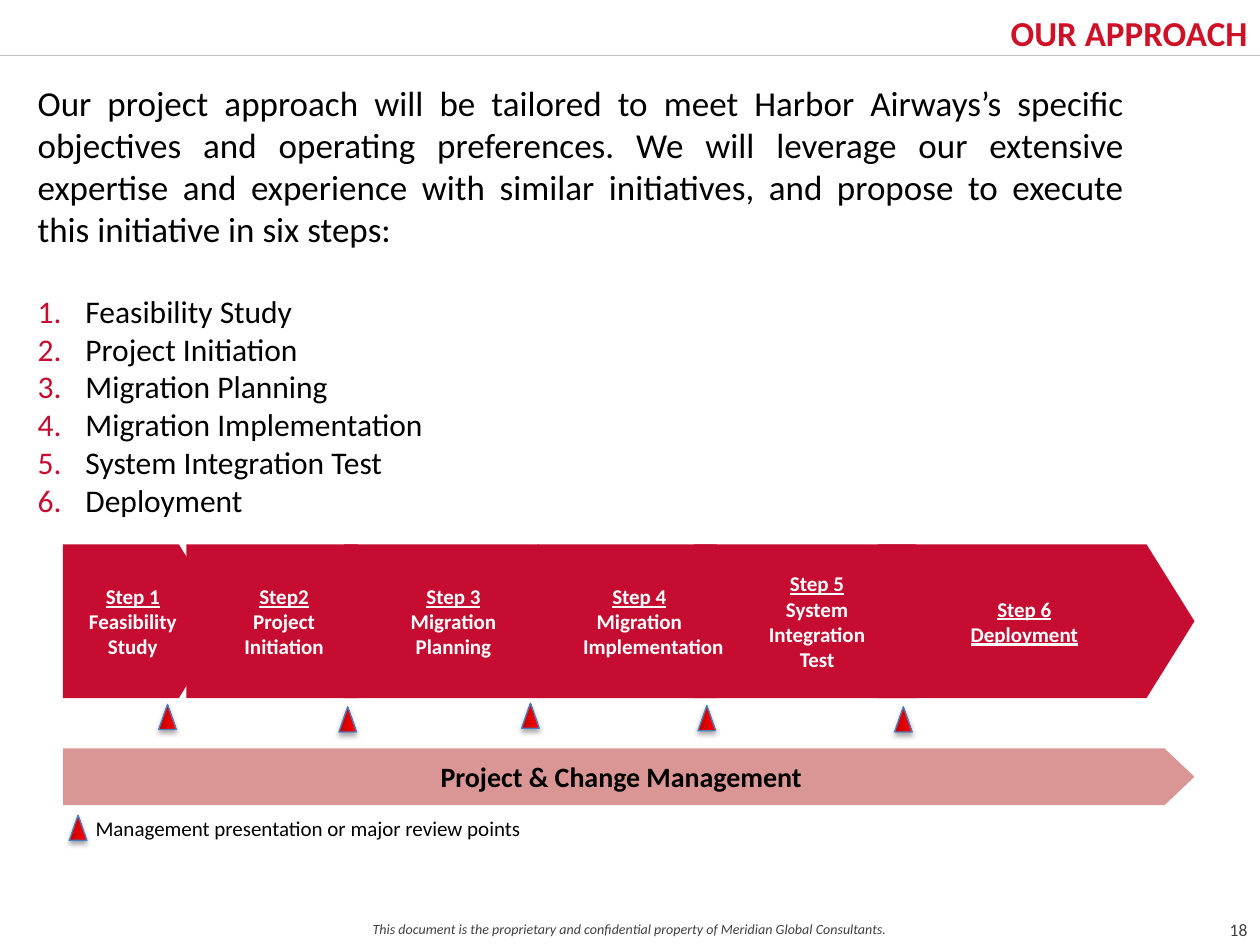
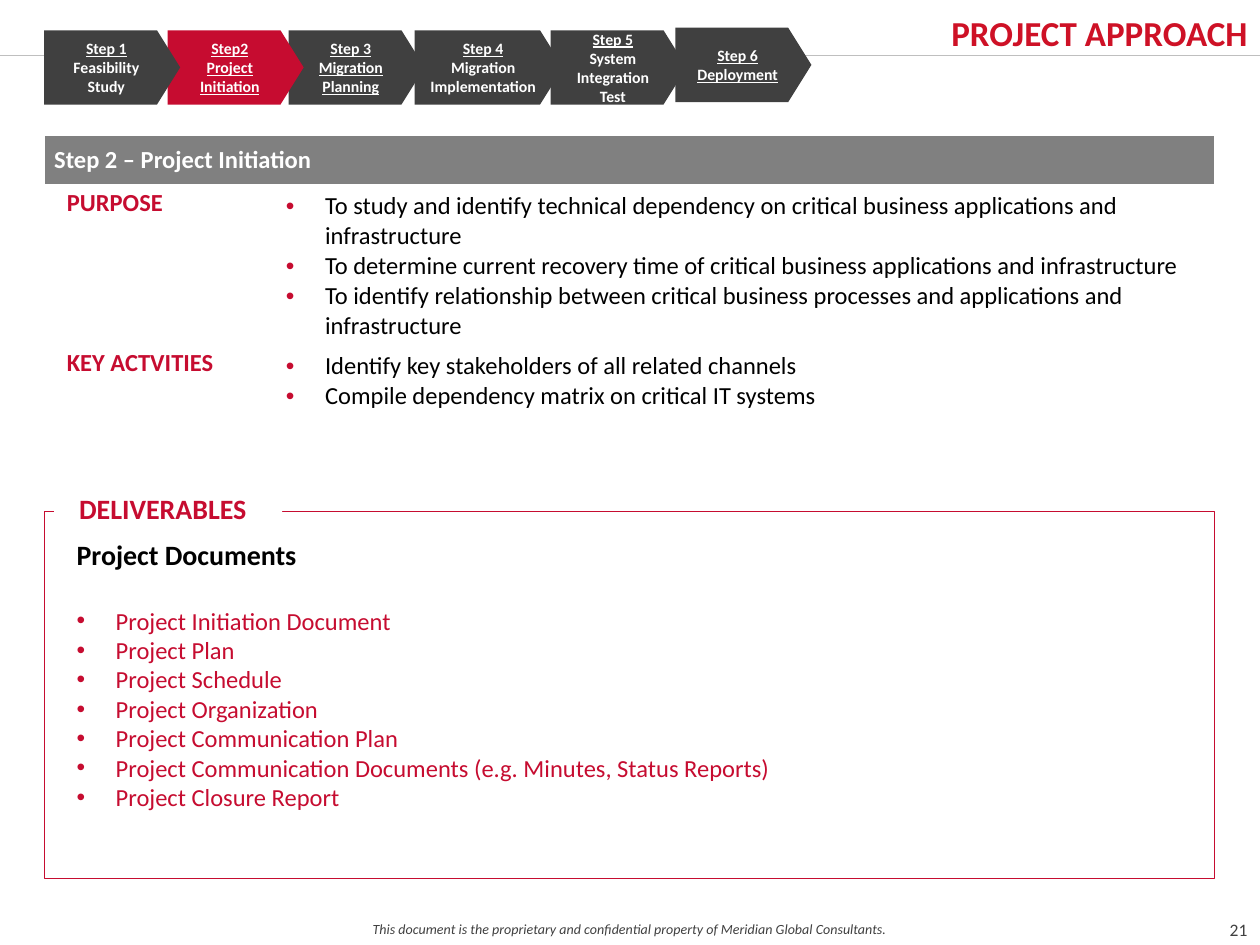
"""Build two slides on a project approach."""
from lxml import etree
from pptx import Presentation
from pptx.dml.color import RGBColor
from pptx.enum.shapes import MSO_CONNECTOR, MSO_SHAPE
from pptx.enum.text import MSO_ANCHOR, PP_ALIGN
from pptx.oxml.ns import qn
from pptx.util import Inches, Pt

RED = RGBColor(0xC6, 0x0C, 0x30)
TITLE = RGBColor(0xCE, 0x11, 0x26)
ROSE = RGBColor(0xD9, 0x96, 0x94)
DARK = RGBColor(0x40, 0x40, 0x40)
GRAY = RGBColor(0x80, 0x80, 0x80)
PALE = RGBColor(0xBF, 0xBF, 0xBF)
BLUE = RGBColor(0x4B, 0x7E, 0xBC)
DEEP = RGBColor(0xC0, 0x00, 0x00)
PURE = RGBColor(0xFF, 0x00, 0x00)
WHITE = RGBColor(0xFF, 0xFF, 0xFF)
BLACK = RGBColor(0x00, 0x00, 0x00)

LEFT, MID, RIGHT, FULL = PP_ALIGN.LEFT, PP_ALIGN.CENTER, PP_ALIGN.RIGHT, PP_ALIGN.JUSTIFY
TOP, CENTER = MSO_ANCHOR.TOP, MSO_ANCHOR.MIDDLE
ARROW, PEAK, RECT = MSO_SHAPE.PENTAGON, MSO_SHAPE.ISOSCELES_TRIANGLE, MSO_SHAPE.RECTANGLE
LINE = MSO_CONNECTOR.STRAIGHT

FONT = {"name": "Calibri", "size": Pt(14), "bold": False, "italic": False, "underline": False}
PARA = {"alignment": LEFT}
PARA_KEYS = ("alignment", "space_before", "line_spacing")
SIDES = ("margin_left", "margin_top", "margin_right", "margin_bottom")
WIDE = (0.11, 0.05, 0.11, 0.05)
PLAIN = (0.1, 0.05, 0.1, 0.05)
CELL = (0.08, 0.05, 0.08, 0.05)
DOT = {"bullet": "•", "left": 0.31, "hang": 0.31}
HEAD = {"bold": True, "color": RED, "line_spacing": Pt(15), "left": 0.1}

STEPS = [
    ("Step 1", ("Feasibility", "Study")),
    ("Step2", ("Project", "Initiation")),
    ("Step 3", ("Migration", "Planning")),
    ("Step 4", ("Migration", "Implementation")),
    ("Step 5", ("System", "Integration", "Test")),
    ("Step 6", ("Deployment",)),
]
FLOW = [(0.5, 1.3), (1.48, 1.74), (2.73, 1.93), (4.27, 1.8), (5.51, 2.14), (6.97, 2.51)]
TRAIL = [(0.35, 0.24, 1.08), (1.33, 0.24, 1.08), (2.29, 0.24, 1.08),
         (3.29, 0.24, 1.18), (4.37, 0.24, 1.08), (5.36, 0.22, 1.08)]
MARKS = [(1.26, 5.59), (2.69, 5.61), (4.14, 5.58), (5.54, 5.6), (7.1, 5.61), (0.55, 6.47)]

INTRO = ("Our project approach will be tailored to meet Harbor Airways’s specific objectives "
         "and operating preferences. We will leverage our extensive expertise and experience "
         "with similar initiatives, and propose to execute this initiative in six steps:")
TASKS = ["Feasibility Study", "Project Initiation", "Migration Planning",
         "Migration Implementation", "System Integration Test", "Deployment"]
NOTICE = ("This document is the proprietary and confidential property of "
          "Meridian Global Consultants.")
ROWS = [
    ("PURPOSE", [
        "To study and identify technical dependency on critical business applications "
        "and infrastructure",
        "To determine current recovery time of critical business applications "
        "and infrastructure",
        "To identify relationship between critical business processes and applications "
        "and infrastructure"]),
    ("KEY ACTVITIES", [
        "Identify key stakeholders of all related channels",
        "Compile dependency matrix on critical IT systems"]),
]
PAPERS = ["Project Initiation Document", "Project Plan", "Project Schedule",
          "Project Organization", "Project Communication Plan",
          "Project Communication Documents (e.g. Minutes, Status Reports)",
          "Project Closure Report"]


def apply(item, values):
    """Set each named value on an item."""
    for key, value in values.items():
        setattr(item, key, value)


def add_bullet(para, mark):
    """Give a paragraph a red dot or number."""
    props = para._p.get_or_add_pPr()
    tint = etree.SubElement(props, qn("a:buClr"))
    etree.SubElement(tint, qn("a:srgbClr"), val=str(RED))
    if mark == "1.":
        etree.SubElement(props, qn("a:buAutoNum"), type="arabicPeriod")
    else:
        etree.SubElement(props, qn("a:buFont"), typeface="Arial")
        etree.SubElement(props, qn("a:buChar"), char=mark)


def write(frame, lines, **base):
    """Fill a frame with (text, format) lines."""
    for num, (text, extra) in enumerate(lines):
        look = {**FONT, **PARA, "color": BLACK, **base, **extra}
        para = frame.add_paragraph() if num else frame.paragraphs[0]
        left, hang = look.get("left", 0), look.get("hang", 0)
        if left:
            props = para._p.get_or_add_pPr()
            props.set("marL", str(Inches(left)))
            props.set("indent", str(-Inches(hang)))
        if "bullet" in look:
            add_bullet(para, look["bullet"])
        apply(para, {key: look[key] for key in PARA_KEYS if key in look})
        run = para.add_run()
        run.text = text
        apply(run.font, {key: look[key] for key in FONT})
        run.font.color.rgb = look["color"]


def set_frame(frame, pads, anchor):
    """Set the wrap, margins and anchor of a frame."""
    values = {side: Inches(pad) for side, pad in zip(SIDES, pads)}
    apply(frame, {"word_wrap": True, "vertical_anchor": anchor, **values})


def add_text(slide, place, lines, pads=PLAIN, anchor=TOP, **base):
    """Add a text box."""
    frame = slide.shapes.add_textbox(*map(Inches, place)).text_frame
    set_frame(frame, pads, anchor)
    write(frame, lines, **base)


def add_block(slide, kind, place, fill=None, line=None, width=0.25):
    """Add a flat shape and return it."""
    shape = slide.shapes.add_shape(kind, *map(Inches, place))
    shape.shadow.inherit = False
    if fill is None:
        shape.fill.background()
    else:
        shape.fill.solid()
        shape.fill.fore_color.rgb = fill
    if line is None:
        shape.line.fill.background()
    else:
        shape.line.color.rgb = line
        shape.line.width = Pt(width)
    return shape


def add_arrow(slide, place, fill, lines, tip=0.312, **base):
    """Add a block arrow with centred text."""
    shape = add_block(slide, ARROW, place, fill)
    shape.adjustments[0] = tip
    set_frame(shape.text_frame, PLAIN, CENTER)
    write(shape.text_frame, lines, alignment=MID, bold=True, **base)


def add_mark(slide, left, top):
    """Add a review point triangle with a soft shadow."""
    shape = add_block(slide, PEAK, (left, top, 0.14, 0.2), line=BLUE, width=0.75)
    shape.fill.gradient()
    shape.fill.gradient_angle = 0
    for stop, color in zip(shape.fill.gradient_stops, (DEEP, PURE)):
        stop.color.rgb = color
    effects = shape._element.spPr.find(qn("a:effectLst"))
    shade = etree.SubElement(effects, qn("a:outerShdw"), blurRad=str(Pt(3.1)),
                             dist=str(Pt(1.8)), dir="5400000", rotWithShape="0")
    color = etree.SubElement(shade, qn("a:srgbClr"), val="000000")
    etree.SubElement(color, qn("a:alpha"), val="35000")


def add_page(deck, title, number):
    """Add a slide with its rule, title and footer."""
    slide = deck.slides.add_slide(deck.slide_layouts[6])
    rule = slide.shapes.add_connector(LINE, 0, Inches(0.44), Inches(10), Inches(0.44))
    rule.line.color.rgb = PALE
    rule.line.width = Pt(0.5)
    etree.SubElement(rule._element.spPr, qn("a:effectLst"))
    add_text(slide, (0, 7.26, 10, 0.24), [(NOTICE, {})], WIDE,
             alignment=MID, size=Pt(8), italic=True, color=DARK)
    add_text(slide, (9.6, 7.16, 0.46, 0.43), [(number, {})], WIDE, CENTER,
             alignment=MID, size=Pt(10), color=DARK)
    add_text(slide, (4.01, 0.02, 5.99, 0.42), [(title, {})], (0, 0.07, 0.1, 0.07),
             alignment=RIGHT, size=Pt(20), bold=True, color=TITLE)
    return slide


def add_flow(slide):
    """Add the large row of steps, last one at the back."""
    for (head, parts), (left, width) in reversed(list(zip(STEPS, FLOW))):
        lines = [(head, {"underline": True})]
        for part in parts:
            look = {"underline": part == "Deployment"}
            if part == "Implementation":
                look["left"] = 0.22
            lines.append((part, look))
        add_arrow(slide, (left, 4.32, width, 1.22), RED, lines, size=Pt(12), color=WHITE)


def add_trail(slide, current):
    """Add the small row of steps with the current one in red."""
    for (head, parts), (left, top, width) in reversed(list(zip(STEPS, TRAIL))):
        under = head in ("Step2", "Step 3", "Step 6")
        lines = [(head, {"underline": True}), (" ".join(parts), {"underline": under})]
        add_arrow(slide, (left, top, width, 0.59), RED if head == current else DARK,
                  lines, size=Pt(9), color=WHITE)


def add_grid(slide):
    """Add the table of purpose and activities."""
    table = slide.shapes.add_table(3, 2, *map(Inches, (0.35, 1.07, 9.29, 2.9))).table
    table.horz_banding = False
    for col, width in zip(table.columns, (1.84, 7.45)):
        col.width = Inches(width)
    for row, height in zip(table.rows, (0.4, 1.17, 1.33)):
        row.height = Inches(height)
    for cell in table.iter_cells():
        apply(cell, {side: Inches(pad) for side, pad in zip(SIDES, CELL)})
        cell.fill.solid()
        cell.fill.fore_color.rgb = WHITE
    band = table.cell(0, 0)
    band.merge(table.cell(0, 1))
    band.fill.fore_color.rgb = GRAY
    band.vertical_anchor = CENTER
    write(band.text_frame, [("Step 2 – Project Initiation", {})], bold=True, color=WHITE)
    for num, (head, points) in enumerate(ROWS, 1):
        write(table.cell(num, 0).text_frame, [(head, HEAD)], alignment=FULL)
        write(table.cell(num, 1).text_frame, [(point, DOT) for point in points])


def build_approach(deck):
    """Build the slide with the six steps."""
    slide = add_page(deck, "OUR APPROACH", "18")
    item = {"size": Pt(18), "bullet": "1.", "left": 0.38, "hang": 0.38}
    lines = [(INTRO, {"size": Pt(20)}), (TASKS[0], {**item, "space_before": Pt(24)})]
    lines += [(task, item) for task in TASKS[1:]]
    add_text(slide, (0.2, 0.6, 8.82, 3.6), lines, alignment=FULL)
    add_flow(slide)
    add_arrow(slide, (0.5, 5.94, 8.98, 0.45), ROSE,
              [("Project & Change Management", {})], 0.528, size=Pt(16))
    for left, top in MARKS:
        add_mark(slide, left, top)
    add_text(slide, (0.66, 6.42, 4.08, 0.3),
             [("Management presentation or major review points", {})], size=Pt(12))


def build_step(deck):
    """Build the slide on project initiation."""
    slide = add_page(deck, "PROJECT APPROACH", "21")
    add_grid(slide)
    add_block(slide, RECT, (0.35, 4.06, 9.29, 2.91), line=RED)
    label = add_block(slide, RECT, (0.43, 3.91, 1.81, 0.32), WHITE)
    set_frame(label.text_frame, PLAIN, TOP)
    write(label.text_frame, [("DELIVERABLES", HEAD)], size=Pt(16))
    item = {**DOT, "color": RED}
    lines = [("Project Documents", {"size": Pt(16), "bold": True}),
             (PAPERS[0], {**item, "space_before": Pt(19.5)})]
    lines += [(paper, item) for paper in PAPERS[1:]]
    add_text(slide, (0.51, 4.22, 8.98, 2.29), lines, alignment=FULL)
    add_trail(slide, "Step2")


def main():
    """Build and save the deck."""
    deck = Presentation()
    apply(deck, {"slide_width": Inches(10), "slide_height": Inches(7.5)})
    build_approach(deck)
    build_step(deck)
    deck.save("out.pptx")


if __name__ == "__main__":
    main()
